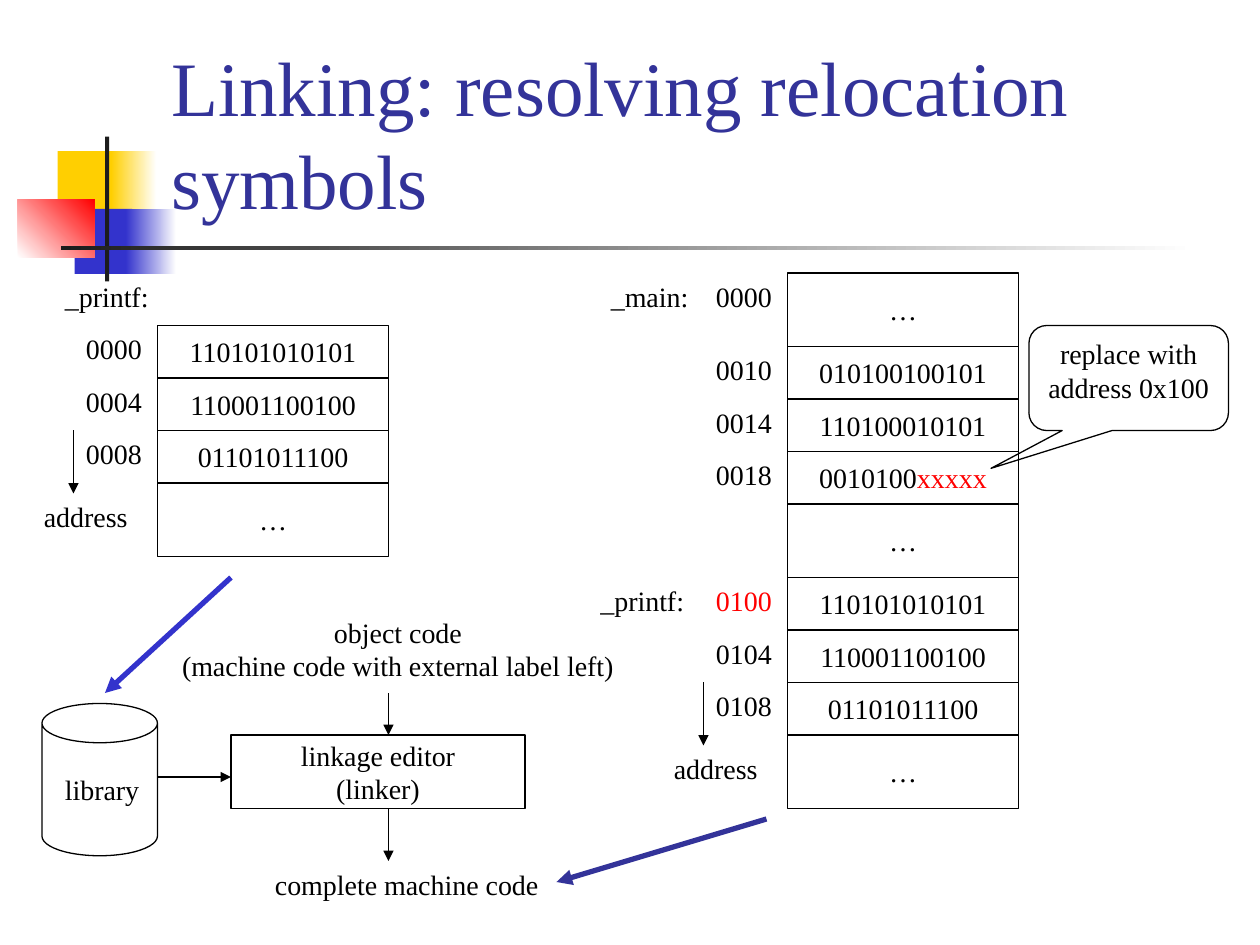
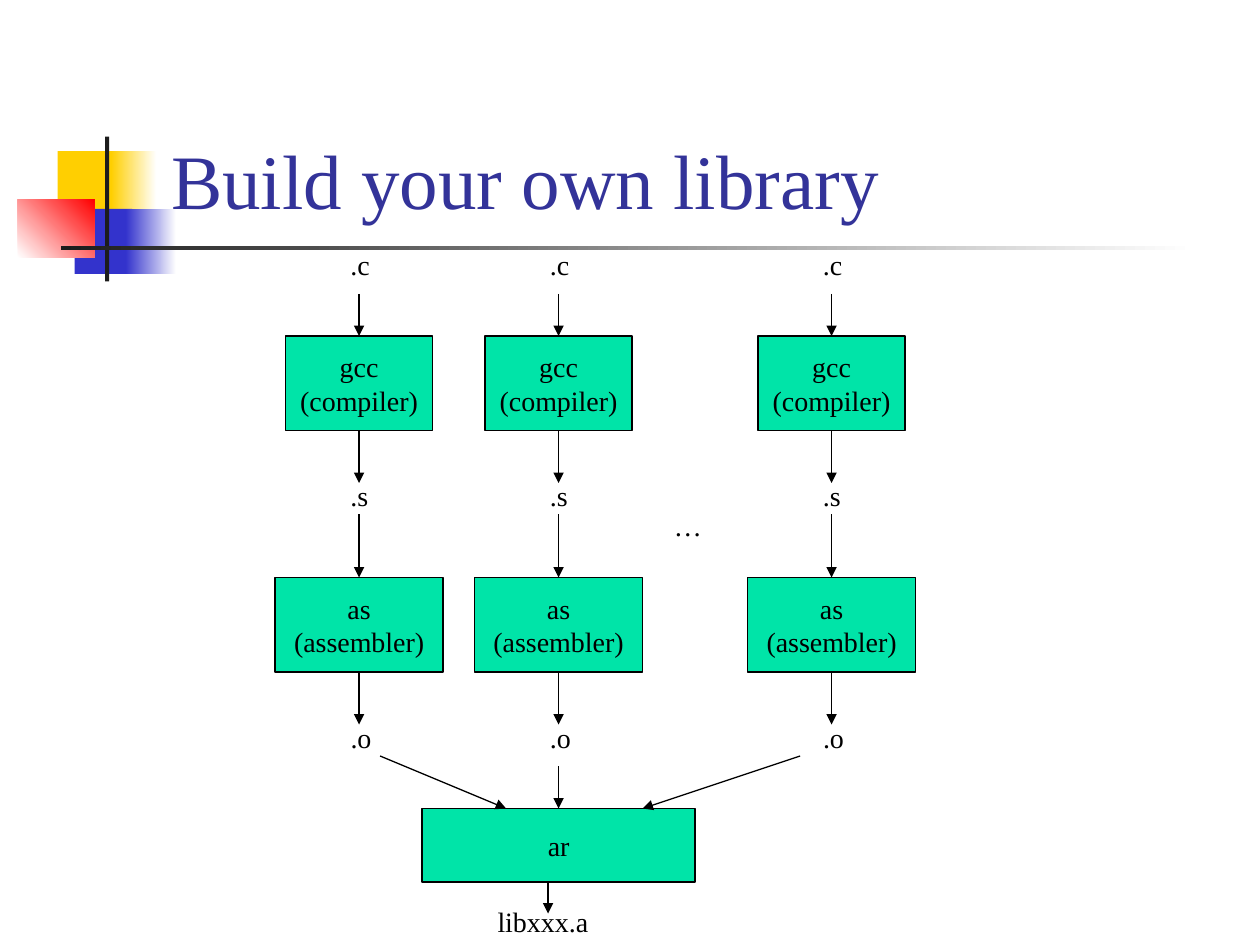
from itertools import cycle

from pptx import Presentation
from pptx.dml.color import RGBColor
from pptx.enum.shapes import MSO_CONNECTOR as CONN, MSO_SHAPE as SHAPE
from pptx.enum.text import MSO_ANCHOR as ANCHOR, MSO_AUTO_SIZE as AUTO, PP_ALIGN as ALIGN
from pptx.oxml.ns import qn
from pptx.util import Inches, Pt
from lxml.etree import SubElement

BLACK = RGBColor(0x00, 0x00, 0x00)
WHITE = RGBColor(0xFF, 0xFF, 0xFF)
CHARCOAL = RGBColor(0x1C, 0x1C, 0x1C)
RED = RGBColor(0xFF, 0x00, 0x00)
YELLOW = RGBColor(0xFF, 0xCF, 0x01)
BLUE = RGBColor(0x33, 0x33, 0xCC)
NAVY = RGBColor(0x33, 0x33, 0x99)
GREEN = RGBColor(0x00, 0xE4, 0xA8)
FONT = "Times New Roman"
COLS, ROWS = 120, 90
LABEL_H = 4.4


def write(tf, text, size=16, color=BLACK, align=ALIGN.LEFT,
          anchor=ANCHOR.TOP, wrap=False, fit=AUTO.NONE):
    tf.word_wrap = wrap
    tf.auto_size = fit
    tf.vertical_anchor = anchor
    for i, line in enumerate(text.split("\n")):
        p = tf.add_paragraph() if i else tf.paragraphs[0]
        p.alignment = align
        for part, part_color in zip(line.split("*"), cycle((color, RED))):
            if part:
                r = p.add_run()
                r.text = part
                r.font.name = FONT
                r.font.size = Pt(size)
                r.font.color.rgb = part_color


class Deck:
    def __init__(self):
        self.prs = Presentation()
        self.prs.slide_width = Inches(10)
        self.prs.slide_height = Inches(7.5)
        self.s = None

    def x(self, col):
        return round(self.prs.slide_width * col / COLS)

    def y(self, row):
        return round(self.prs.slide_height * row / ROWS)

    def rect(self, left, top, width, height):
        return self.x(left), self.y(top), self.x(width), self.y(height)

    def slide(self, title):
        self.s = self.prs.slides.add_slide(self.prs.slide_layouts[5])
        sp = self.s.shapes.title
        sp.left, sp.top, sp.width, sp.height = self.rect(15.1, 2.8, 102.2, 19.2)
        write(sp.text_frame, title, size=44, color=NAVY, anchor=ANCHOR.BOTTOM, wrap=True)

    def shape(self, kind, left, top, width, height, fill=None, line=BLACK):
        sp = self.s.shapes.add_shape(kind, *self.rect(left, top, width, height))
        sp.shadow.inherit = False
        if fill is None:
            sp.fill.background()
        else:
            sp.fill.solid()
            sp.fill.fore_color.rgb = fill
        if line is None:
            sp.line.fill.background()
        else:
            sp.line.color.rgb = line
            sp.line.width = Pt(0.75)
        return sp

    def box(self, text, left, top, width, height, fill=None):
        sp = self.shape(SHAPE.RECTANGLE, left, top, width, height, fill)
        write(sp.text_frame, text, align=ALIGN.CENTER, anchor=ANCHOR.MIDDLE)

    def fade(self, left, top, width, height, start, end, angle=0):
        sp = self.shape(SHAPE.RECTANGLE, left, top, width, height, line=None)
        sp.fill.gradient()
        sp.fill.gradient_angle = angle
        for stop, color, position in zip(sp.fill.gradient_stops, (start, end), (0, 1)):
            stop.color.rgb = color
            stop.position = position
        return sp

    def label(self, text, left, top, width, height=LABEL_H, align=ALIGN.LEFT):
        sp = self.s.shapes.add_textbox(*self.rect(left, top, width, height))
        write(sp.text_frame, text, align=align, fit=AUTO.SHAPE_TO_FIT_TEXT)

    def arrow(self, x1, y1, x2, y2, color=BLACK, width=0.75):
        c = self.s.shapes.add_connector(
            CONN.STRAIGHT, self.x(x1), self.y(y1), self.x(x2), self.y(y2))
        c.line.color.rgb = color
        c.line.width = Pt(width)
        props = c.element.spPr
        SubElement(props.find(qn("a:ln")), qn("a:tailEnd"), type="triangle")
        SubElement(props, qn("a:effectLst"))

    def callout(self, text, left, top, width, height, adjustments):
        sp = self.shape(SHAPE.ROUNDED_RECTANGULAR_CALLOUT, left, top, width, height)
        for i, value in enumerate(adjustments):
            sp.adjustments[i] = value
        write(sp.text_frame, text, align=ALIGN.CENTER, wrap=True)

    def cylinder(self, left, top, width, height, rim):
        sp = self.shape(SHAPE.CAN, left, top, width, height)
        sp.adjustments[0] = rim

    def memory(self, left, top, cells):
        row = top
        for address, bits in cells:
            height = 7 if bits == "…" else 5
            self.box(bits, left, row, 22, height)
            if address:
                self.label(address, left - 8, row, 7.8)
                last = row
            row += height
        self.arrow(left - 8, last, left - 8, last + 6)
        self.label("address", left - 12, last + 6, 10.4)

    def decorate_master(self):
        block = SHAPE.RECTANGLE
        marks = (
            self.shape(block, 5.5, 14.4, 5.8, 6.2, YELLOW, None),
            self.fade(10.6, 14.4, 4.3, 6.2, YELLOW, WHITE),
            self.shape(block, 7.1, 19.9, 5.5, 6.2, BLUE, None),
            self.fade(12, 19.9, 4.8, 6.2, BLUE, WHITE),
            self.fade(1.7, 19, 7.3, 5.5, WHITE, RED, 45),
            self.shape(block, 10, 13, 0.4, 13.8, CHARCOAL, None),
            self.fade(5.8, 23.4, 108, 0.4, CHARCOAL, WHITE),
        )
        tree = self.prs.slide_master.shapes.element
        for i, sp in enumerate(marks):
            sp.element.nvSpPr.cNvPr.set("id", str(100 + i))
            tree.insert(2 + i, sp.element)


def linking(d):
    d.slide("Linking: resolving relocation symbols")
    d.decorate_master()

    d.label("object code\n(machine code with external label left)",
            16, 58, 43.8, 7.7, ALIGN.CENTER)
    d.arrow(37, 66, 37, 70)
    d.box("linkage editor\n(linker)", 22, 70, 28, 7)
    d.cylinder(4, 67, 11, 14.5, 0.34)
    d.label("library", 5, 73, 9.6)
    d.arrow(15, 74, 22, 74)
    d.arrow(37, 77, 37, 82)
    d.label("complete machine code", 25, 82, 27.7)

    printf = ("110101010101", "110001100100", "01101011100", "…")
    d.memory(15, 31, list(zip(("0000", "0004", "0008", ""), printf)))
    d.label("_printf:", 5, 26, 10.4)

    main = [("0000", "…"), ("0010", "010100100101"), ("0014", "110100010101"),
            ("0018", "0010100*xxxxx"), ("", "…")]
    d.memory(75, 26, main + list(zip(("*0100", "0104", "0108", ""), printf)))
    d.label("_main:", 57, 26, 9.8)
    d.label("_printf:", 56, 55, 10.4)
    d.callout("replace with address 0x100", 98, 31, 19, 10, (-0.69, 0.86, 0.17))

    d.arrow(22, 55, 10, 66, BLUE, 3)
    d.arrow(73, 78, 53, 84, NAVY, 3)


def library(d):
    d.slide("Build your own library")
    centers = (34.2, 53.2, 79.2)
    for mid in centers:
        for text, top, width in ((".c", 23, 4.3), (".s", 45, 4.1), (".o", 68, 4.4)):
            d.label(text, mid - 2, top, width)
        d.box("gcc\n(compiler)", mid - 7, 32, 14, 9, GREEN)
        d.box("as\n(assembler)", mid - 8, 55, 16, 9, GREEN)
        for start, end in ((28, 32), (41, 46), (49, 55), (64, 69)):
            d.arrow(mid, start, mid, end)
    d.label("…", 63, 47.8, 5)

    first, mid, last = centers
    d.box("ar", mid - 13, 77, 26, 7, GREEN)
    d.arrow(first + 2, 72, mid - 5, 77)
    d.arrow(mid, 73, mid, 77)
    d.arrow(last - 3, 72, mid + 8, 77)
    d.arrow(mid - 1, 84, mid - 1, 87)
    d.label("libxxx.a", mid - 7, 85.6, 11.2)


deck = Deck()
linking(deck)
library(deck)
deck.prs.save("out.pptx")
